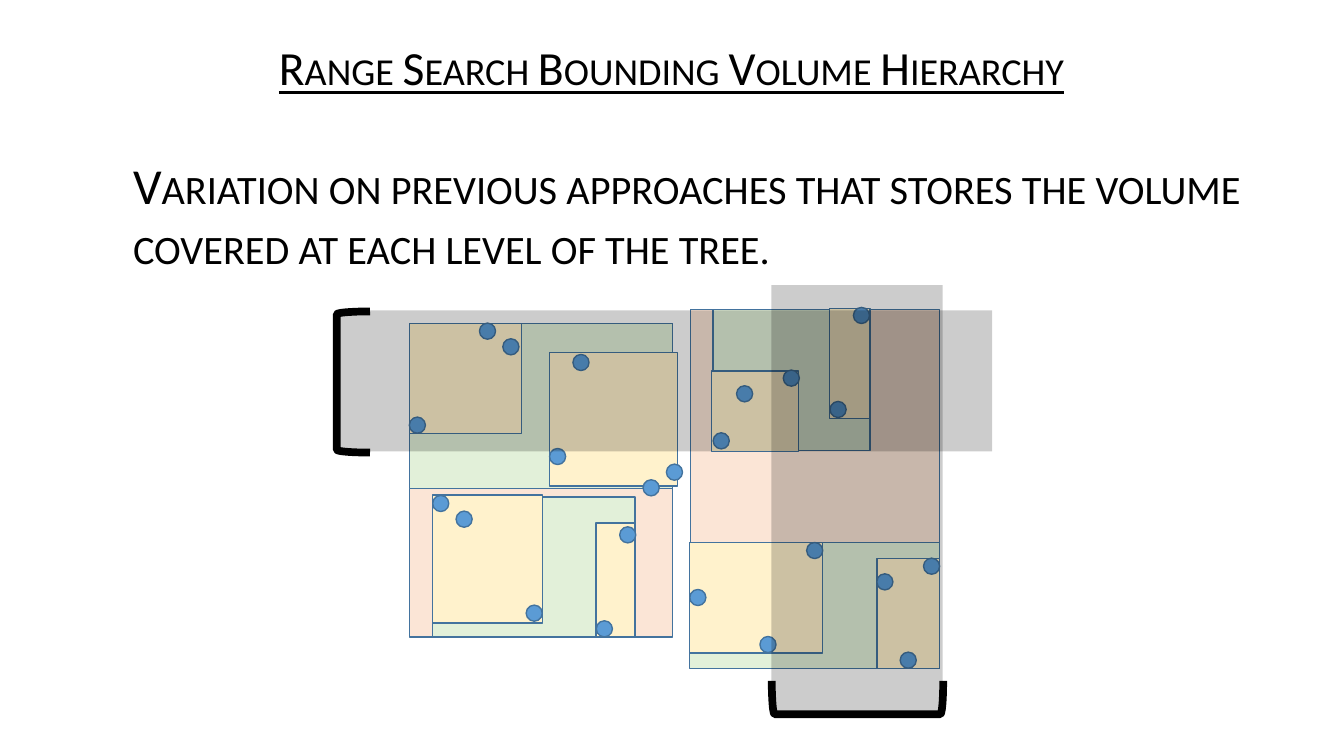
from lxml.etree import SubElement
from pptx import Presentation
from pptx.dml.color import RGBColor as RGB
from pptx.enum.shapes import MSO_SHAPE as SHAPE
from pptx.enum.text import MSO_ANCHOR as ANCHOR, MSO_AUTO_SIZE as FIT, PP_ALIGN as ALIGN
from pptx.oxml.ns import qn
from pptx.util import Inches, Pt

THEME = dict(font="Calibri", title=34, body=36, ink="000000", edge="43739E",
             dot="5B9BD5", level1="FBE5D6", level2="E2F0D9", level3="FFF2CC")


def add_part(shapes, kind, box, fill=None, line=None, width=1, alpha=None):
    sp = shapes.add_shape(kind, *[Inches(v) for v in box])
    sp.shadow.inherit = False
    if fill:
        sp.fill.solid()
        sp.fill.fore_color.rgb = RGB.from_string(fill)
        if alpha:
            clr = sp.fill._xPr.find(qn("a:solidFill"))[0]
            SubElement(clr, qn("a:alpha")).set("val", str(alpha * 1000))
    else:
        sp.fill.background()
    if line:
        sp.line.color.rgb = RGB.from_string(line)
        sp.line.width = Pt(width)
    else:
        sp.line.fill.background()
    return sp


def write(sp, box, text, size, indent=0):
    sp.left, sp.top, sp.width, sp.height = [Inches(v) for v in box]
    tf = sp.text_frame
    tf.word_wrap = True
    tf.auto_size = FIT.NONE
    tf.vertical_anchor = ANCHOR.MIDDLE
    p = tf.paragraphs[0]
    pPr = p._p.get_or_add_pPr()
    pPr.set("marL", str(Inches(indent)))
    pPr.set("indent", "0")
    SubElement(pPr, qn("a:buNone"))
    r = p.add_run()
    r.text = text
    r.font.name = THEME["font"]
    r.font.size = Pt(size)
    r.font.color.rgb = RGB.from_string(THEME["ink"])
    r._r.get_or_add_rPr().set("cap", "small")
    return p, r


prs = Presentation()
prs.slide_width, prs.slide_height = Inches(13.33), Inches(7.5)
s = prs.slides.add_slide(prs.slide_layouts[1])

# Title and statement
p, r = write(s.shapes.title, (1.74, 0.29, 9.84, 0.85),
             "Range Search Bounding Volume Hierarchy", THEME["title"])
p.alignment = ALIGN.CENTER
p.line_spacing = 0.8
r.font.underline = True
p, r = write(s.placeholders[1], (0.72, 1.32, 11.89, 1.61),
             "Variation on previous approaches that stores the volume "
             "covered at each level of the tree.", THEME["body"], indent=0.5)
p.alignment = ALIGN.LEFT
p.line_spacing = 1.0

# Bounding volumes, from the top level of the tree down
volumes = {
    "level1": [(6.85, 3.07, 2.47, 3.56), (4.06, 3.21, 2.61, 3.11)],
    "level2": [(6.84, 5.38, 2.48, 1.25), (4.29, 4.93, 2.01, 1.39),
               (7.07, 3.07, 1.56, 1.40), (4.06, 3.21, 2.61, 1.64)],
    "level3": [(6.84, 5.38, 1.32, 1.10), (4.29, 4.91, 1.09, 1.27),
               (7.06, 3.68, 0.86, 0.80), (4.06, 3.21, 1.11, 1.09),
               (8.70, 5.54, 0.62, 1.09), (8.23, 3.06, 0.40, 1.09),
               (5.91, 5.19, 0.39, 1.13), (5.45, 3.50, 1.27, 1.32)],
}
for level, boxes in volumes.items():
    for box in boxes:
        add_part(s.shapes, SHAPE.RECTANGLE, box, THEME[level], THEME["edge"])

# Points: one in each column of a 23 by 23 grid, listed by row
GRID_LEFT, GRID_TOP, GRID_RIGHT, GRID_BOTTOM, DOT = 4.06, 3.05, 9.16, 6.47, 0.16
point_rows = [7, 12, 13, 1, 2, 19, 9, 3, 20, 14, 11, 10,
              18, 8, 5, 21, 4, 15, 6, 0, 17, 22, 16]
last = len(point_rows) - 1
points = s.shapes.add_group_shape()
for col, row in enumerate(point_rows):
    x = GRID_LEFT + col * (GRID_RIGHT - GRID_LEFT) / last
    y = GRID_TOP + row * (GRID_BOTTOM - GRID_TOP) / last
    add_part(points.shapes, SHAPE.OVAL, (x, y, DOT, DOT), THEME["dot"], THEME["edge"])

# Query ranges
for box in [(7.65, 2.83, 1.70, 4.24), (3.37, 3.08, 6.47, 1.40)]:
    add_part(s.shapes, SHAPE.RECTANGLE, box, THEME["ink"], alpha=20)

# Range brackets
for box, turn in [((3.34, 3.09, 0.33, 1.40), 0), ((8.34, 6.07, 0.33, 1.70), 270)]:
    sp = add_part(s.shapes, SHAPE.LEFT_BRACKET, box, line=THEME["ink"], width=5.5)
    sp.rotation = turn

prs.save("out.pptx")
